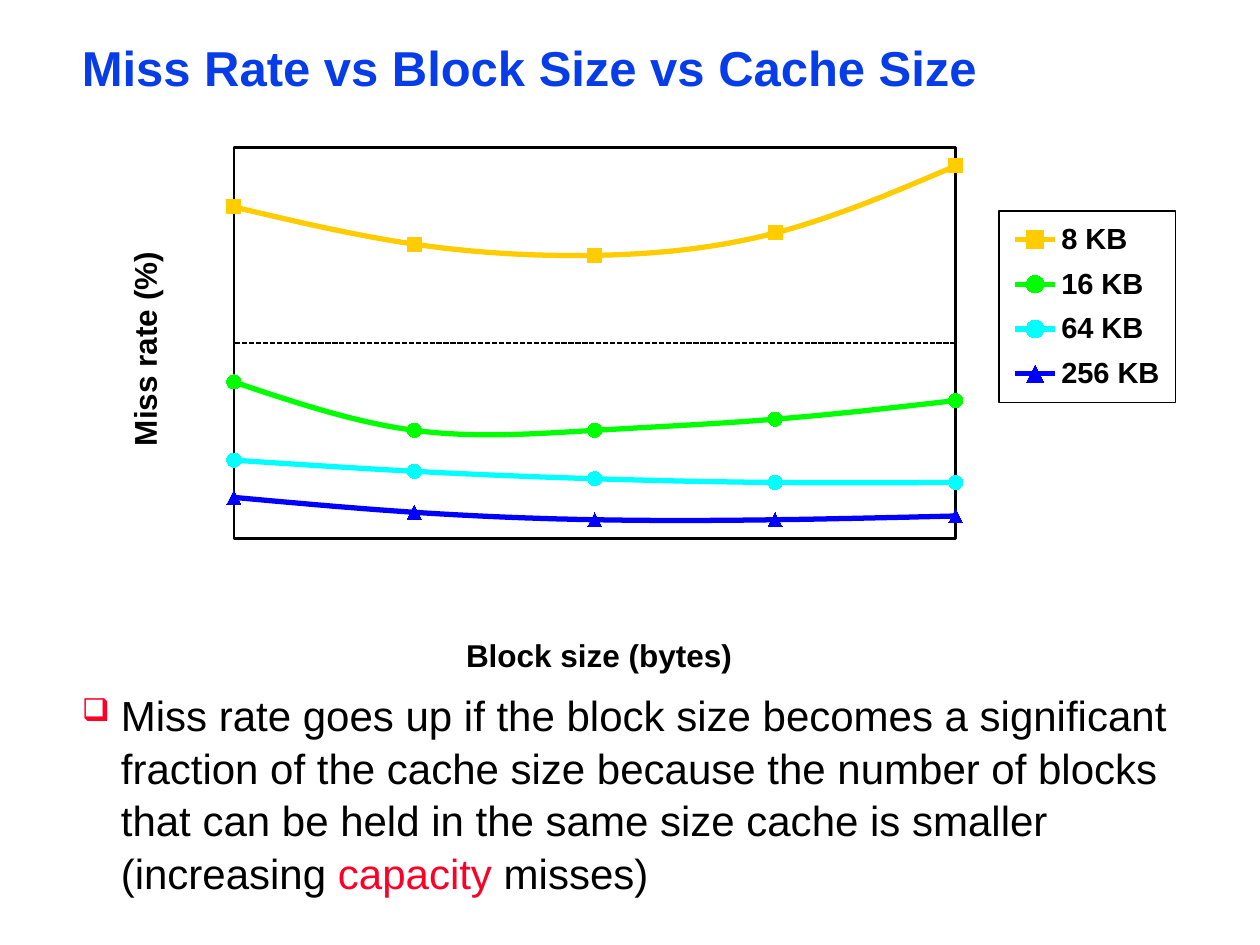
import pptx
import pptx.chart.data
import pptx.dml.color
import pptx.enum.chart
import pptx.enum.dml
import pptx.oxml
import pptx.util
from pptx.oxml.ns import qn
from pptx.util import Inches

# Content
COLORS = {"title": "063DE8", "text": "000000", "accent": "FC0128"}
FONT = "Arial"
TITLE = "Miss Rate vs Block Size vs Cache Size"
BODY = [
    ("Miss rate goes up if the block size becomes a significant fraction of the "
     "cache size because the number of blocks that can be held in the same size "
     "cache is smaller (increasing ", "text"),
    ("capacity", "accent"),
    (" misses)", "text"),
]
CATEGORIES = ["1", "2", "3", "4", "5"]
SERIES = [
    ("8 KB", (89, 79, 76, 82, 100), "FFCC00", "SQUARE"),
    ("16 KB", (42, 29, 29, 32, 37), "00FF00", "CIRCLE"),
    ("64 KB", (21, 18, 16, 15, 15), "00FFFF", "CIRCLE"),
    ("256 KB", (11, 7, 5, 5, 6), "0000FF", "TRIANGLE"),
]
AXIS_MAX = 105


def rgb(value):
    return pptx.dml.color.RGBColor.from_string(value)


def style_font(font, size, color, bold=False):
    font.name, font.size, font.bold = FONT, pptx.util.Pt(size), bold
    font.color.rgb = rgb(color)


def add_text(page, spans, *, at, size, bold=False, spacing=1.0, bullet=None):
    box = page.shapes.add_textbox(*(Inches(length) for length in at))
    frame = box.text_frame
    frame.word_wrap = True
    frame.margin_left = frame.margin_right = Inches(0.07)
    frame.margin_top = frame.margin_bottom = Inches(0.03)
    para = frame.paragraphs[0]
    para.line_spacing = spacing
    if bullet:
        props = para._p.get_or_add_pPr()
        props.set("marL", str(Inches(0.31)))
        props.set("indent", str(-Inches(0.31)))
        color = props.makeelement(qn("a:buClr"), {})
        color.append(color.makeelement(qn("a:srgbClr"), {"val": COLORS["accent"]}))
        props.append(color)
        props.append(props.makeelement(qn("a:buSzPct"), {"val": "75000"}))
        props.append(props.makeelement(qn("a:buChar"), {"char": bullet}))
    for text, color in spans:
        span = para.add_run()
        span.text = text
        style_font(span.font, size, COLORS[color], bold)


def place(element, inner=False, **fractions):
    """Set a manual layout, in fractions of the chart area."""
    for old in element.findall(qn("c:layout")):
        element.remove(old)
    layout = element.makeelement(qn("c:layout"), {})
    manual = layout.makeelement(qn("c:manualLayout"), {})
    layout.append(manual)
    settings = [("layoutTarget", "inner")] if inner else []
    settings += [("xMode", "edge"), ("yMode", "edge"), *fractions.items()]
    for name, value in settings:
        manual.append(manual.makeelement(qn("c:" + name), {"val": str(value)}))
    first = element[0].tag if len(element) else None
    element.insert(int(first in (qn("c:tx"), qn("c:legendPos"))), layout)


def outlined(element, width):
    """Return a shape properties element with a thin black outline."""
    return pptx.oxml.parse_xml(
        '<c:spPr xmlns:c="http://schemas.openxmlformats.org/drawingml/2006/chart" '
        'xmlns:a="http://schemas.openxmlformats.org/drawingml/2006/main"><a:noFill/>'
        f'<a:ln w="{pptx.util.Pt(width)}"><a:solidFill><a:srgbClr val="{COLORS["text"]}"/>'
        '</a:solidFill></a:ln></c:spPr>')


def add_miss_rate_chart(page):
    data = pptx.chart.data.CategoryChartData()
    data.categories = CATEGORIES
    for name, values, _, _ in SERIES:
        data.add_series(name, values)
    kinds = pptx.enum.chart
    chart = page.shapes.add_chart(
        kinds.XL_CHART_TYPE.LINE_MARKERS, Inches(0.75), Inches(0.84),
        Inches(8.64), Inches(4.64), data).chart
    chart.has_title = False
    style_font(chart.font, 18, COLORS["text"], bold=True)
    chart.plots[0].vary_by_categories = False

    # Lines and markers
    for series, (_, _, color, marker) in zip(chart.plots[0].series, SERIES):
        series.smooth = True
        series.format.line.color.rgb = rgb(color)
        series.format.line.width = pptx.util.Pt(3)
        series.marker.style = kinds.XL_MARKER_STYLE[marker]
        series.marker.size = 8
        series.marker.format.fill.solid()
        series.marker.format.fill.fore_color.rgb = rgb(color)
        series.marker.format.line.fill.background()

    # Axes show only their titles
    axes = [
        (chart.category_axis, "Block size (bytes)", 0.336, 0.895),
        (chart.value_axis, "Miss rate (%)", 0.022, 0.24),
    ]
    for axis, label, x, y in axes:
        axis.tick_label_position = kinds.XL_TICK_LABEL_POSITION.NONE
        axis.major_tick_mark = axis.minor_tick_mark = kinds.XL_TICK_MARK.NONE
        axis.format.line.fill.background()
        para = axis.axis_title.text_frame.paragraphs[0]
        span = para.add_run()
        span.text = label
        style_font(span.font, 18, COLORS["text"], bold=True)
        place(axis.axis_title._element, x=x, y=y)
    body = chart.value_axis.axis_title._element.find(".//" + qn("a:bodyPr"))
    body.set("rot", "-5400000")
    body.set("vert", "horz")

    scale = chart.value_axis
    scale.minimum_scale, scale.maximum_scale = 0, AXIS_MAX
    scale.major_unit = AXIS_MAX / 2
    scale.has_major_gridlines = True
    grid = scale.major_gridlines.format.line
    grid.color.rgb = rgb(COLORS["text"])
    grid.width = pptx.util.Pt(1)
    grid.dash_style = pptx.enum.dml.MSO_LINE.SQUARE_DOT
    # Points start and end on the plot edges
    value_axis = scale._element
    for old in value_axis.findall(qn("c:crossBetween")):
        value_axis.remove(old)
    between = value_axis.makeelement(qn("c:crossBetween"), {"val": "midCat"})
    value_axis.find(qn("c:majorUnit")).addprevious(between)

    # Plot frame and legend
    plot_area = chart._chartSpace.chart.plotArea
    place(plot_area, inner=True, x=0.128, y=0.071, w=0.663, h=0.669)
    plot_area.append(outlined(plot_area, 1.5))
    chart.has_legend = True
    legend = chart.legend
    legend.position = kinds.XL_LEGEND_POSITION.RIGHT
    legend.include_in_layout = True
    style_font(legend.font, 16.6, COLORS["text"], bold=True)
    place(legend._element, x=0.831, y=0.18, w=0.162, h=0.327)
    legend._element.find(qn("c:txPr")).addprevious(outlined(legend._element, 0.75))


def main():
    deck = pptx.Presentation()
    deck.slide_width, deck.slide_height = Inches(10), Inches(7.5)
    page = deck.slides.add_slide(deck.slide_layouts[6])
    add_text(page, [(TITLE, "title")], at=(0.58, 0.33, 8.92, 0.46),
             size=28, bold=True, spacing=0.87)
    add_miss_rate_chart(page)
    add_text(page, BODY, at=(0.58, 5.42, 9.17, 1.65),
             size=24, spacing=1.05, bullet="❑")
    deck.save("out.pptx")


if __name__ == "__main__":
    main()
